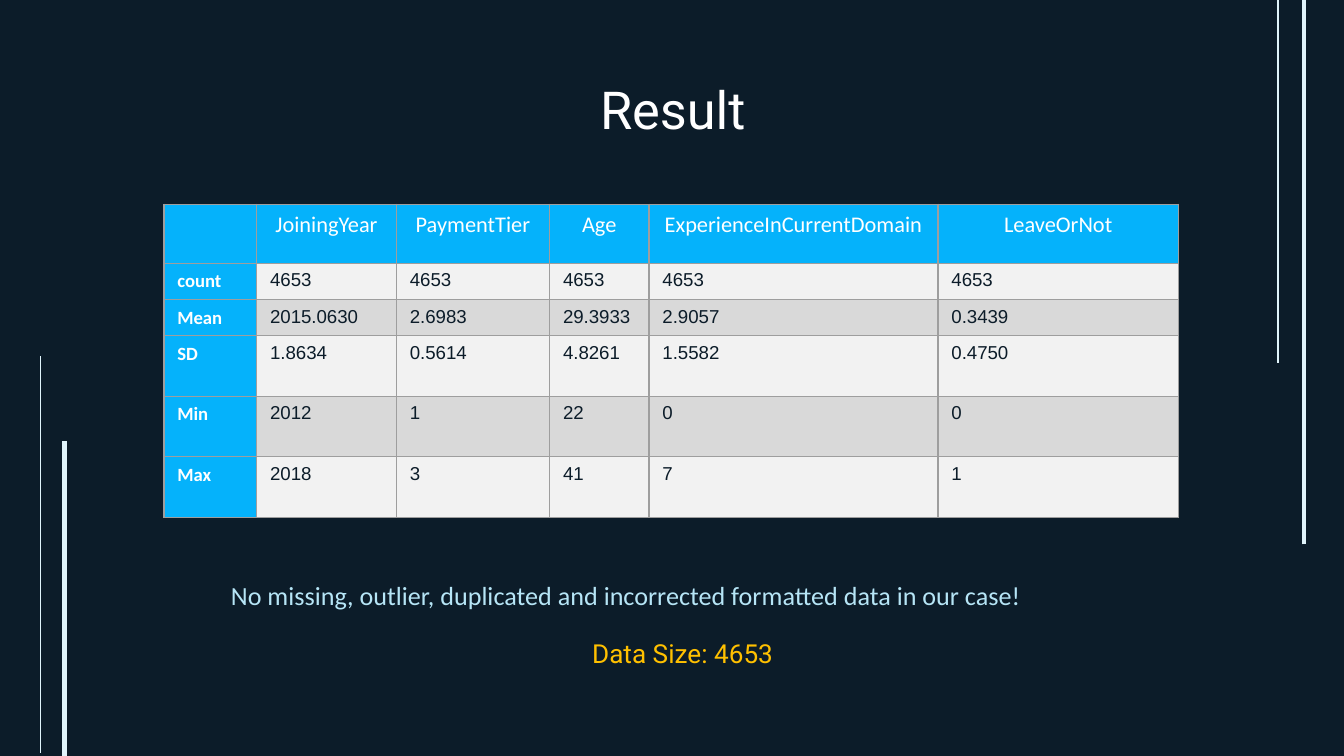
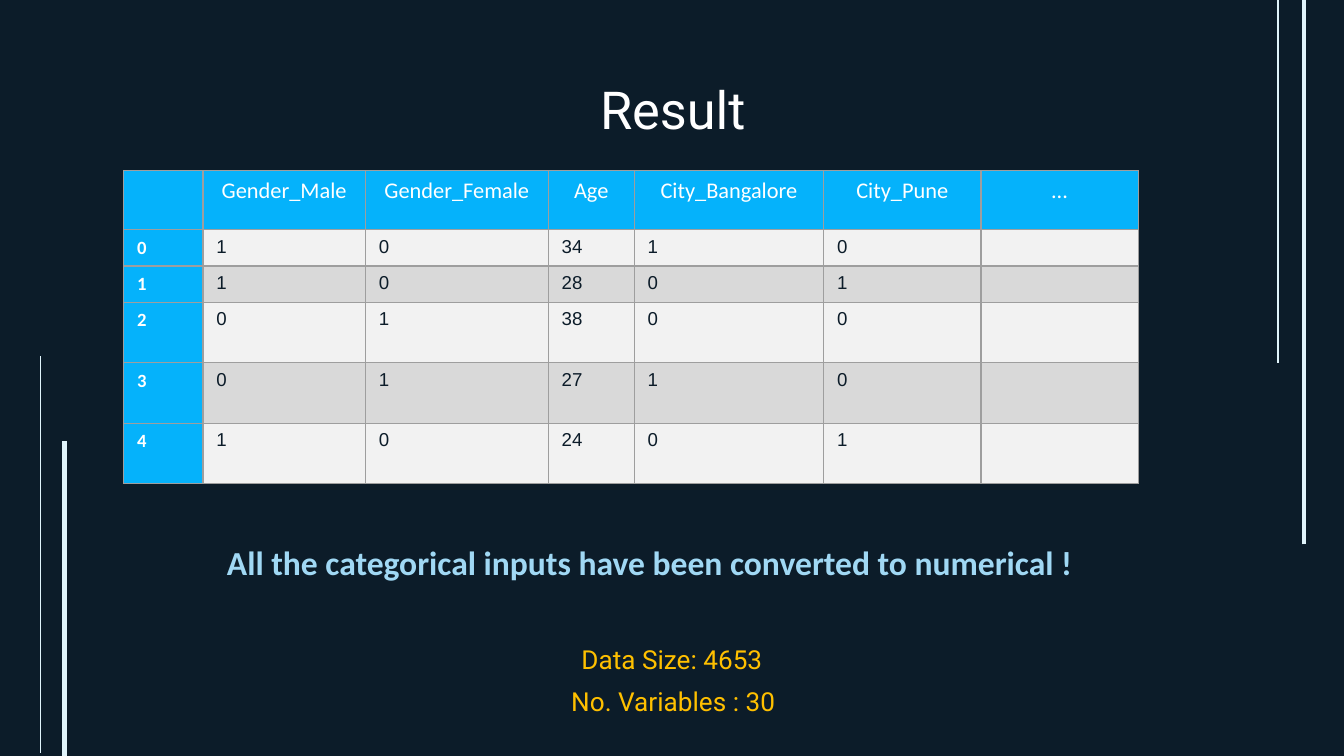
from dataclasses import dataclass
from typing import NamedTuple

from lxml.etree import SubElement
from pptx import Presentation
from pptx.dml.color import RGBColor
from pptx.enum.shapes import MSO_CONNECTOR as Connector
from pptx.enum.text import MSO_ANCHOR as Anchor, MSO_AUTO_SIZE as AutoSize, PP_ALIGN as Align
from pptx.oxml.ns import qn
from pptx.util import Emu, Pt

EMU_PER_PX = 4572


class TextStyle(NamedTuple):
    """Font, size, colour, weight and alignment of a paragraph."""
    face: str
    size: int
    color: str
    bold: bool = False
    align: Align = Align.LEFT


@dataclass(frozen=True)
class Theme:
    """Colours and type styles of the deck."""
    background: str = "0C1C29"
    accent_line: str = "E0F4FB"
    header_fill: str = "05B2FB"
    band_fills: tuple[str, str] = ("F2F2F2", "D9D9D9")
    border: str = "9E9E9E"
    border_width: float = 0.75
    title: TextStyle = TextStyle("Roboto", 28, "FFFFFF", align=Align.CENTER)
    column_head: TextStyle = TextStyle("Calibri", 12, "FFFFFF", align=Align.CENTER)
    row_head: TextStyle = TextStyle("Calibri", 10, "FFFFFF", bold=True)
    value: TextStyle = TextStyle("Arial", 10, "0C1C29")
    remark: TextStyle = TextStyle("Calibri", 14, "B6E5F6")
    strong_remark: TextStyle = TextStyle("Calibri", 18, "A0D8F4", bold=True)
    figure: TextStyle = TextStyle("Roboto", 14, "FFC000", align=Align.CENTER)


THEME = Theme()


class Box(NamedTuple):
    """A rectangle in px."""
    left: int
    top: int
    width: int
    height: int


class Stripe(NamedTuple):
    """A vertical accent line: position in px, width in points."""
    x: int
    start: int
    end: int
    weight: float


class Note(NamedTuple):
    """A line of text below the table."""
    text: str
    box: Box
    style: TextStyle


@dataclass(frozen=True)
class ResultPage:
    """Content of one result slide."""
    left: int
    top: int
    columns: tuple[int, ...]
    rows: tuple[tuple[str, ...], ...]
    notes: tuple[Note, ...]


SLIDE_SIZE = (2000, 1125)
TITLE_BOX = Box(158, 98, 1686, 126)
TITLE_INSET = 20
ROW_HEIGHTS = (88, 54, 54, 90, 90, 90)
STRIPES = (
    Stripe(96, 1125, 656, 2.25),
    Stripe(60, 1120, 530, 0.75),
    Stripe(1940, 810, 0, 2.25),
    Stripe(1902, 540, 0, 0.75),
)
PAGES = (
    ResultPage(
        244, 304, (138, 208, 228, 148, 430, 358),
        (
            ("", "JoiningYear", "PaymentTier", "Age", "ExperienceInCurrentDomain", "LeaveOrNot"),
            ("count", "4653", "4653", "4653", "4653", "4653"),
            ("Mean", "2015.0630", "2.6983", "29.3933", "2.9057", "0.3439"),
            ("SD", "1.8634", "0.5614", "4.8261", "1.5582", "0.4750"),
            ("Min", "2012", "1", "22", "0", "0"),
            ("Max", "2018", "3", "41", "7", "1"),
        ),
        (
            Note("No missing, outlier, duplicated and incorrected formatted data in our case!",
                 Box(324, 852, 1388, 68), THEME.remark),
            Note("Data Size: 4653", Box(322, 938, 1388, 68), THEME.figure),
        ),
    ),
    ResultPage(
        184, 254, (118, 242, 272, 128, 282, 234, 234),
        (
            ("", "Gender_Male", "Gender_Female", "Age", "City_Bangalore", "City_Pune", "..."),
            ("0", "1", "0", "34", "1", "0", ""),
            ("1", "1", "0", "28", "0", "1", ""),
            ("2", "0", "1", "38", "0", "0", ""),
            ("3", "0", "1", "27", "1", "0", ""),
            ("4", "1", "0", "24", "0", "1", ""),
        ),
        (
            Note("Data Size: 4653", Box(306, 948, 1388, 68), THEME.figure),
            Note("No. Variables : 30", Box(308, 1010, 1388, 68), THEME.figure),
            Note("All the categorical inputs have been converted to numerical !",
                 Box(318, 796, 1362, 80), THEME.strong_remark),
        ),
    ),
)


def px(length: int) -> Emu:
    """Turn px into EMU."""
    return Emu(length * EMU_PER_PX)


def rgb(color: str) -> RGBColor:
    """Turn a hex string into a colour."""
    return RGBColor.from_string(color)


def write(frame, text: str, style: TextStyle) -> None:
    """Put one styled paragraph into a text frame."""
    para = frame.paragraphs[0]
    if text:
        para.text = text
    para.alignment = style.align
    font = para.font
    font.name, font.size, font.bold = style.face, Pt(style.size), style.bold
    font.color.rgb = rgb(style.color)


def add_stripe(page, stripe: Stripe) -> None:
    """Draw one vertical accent line without a shadow."""
    x = px(stripe.x)
    line = page.shapes.add_connector(Connector.STRAIGHT, x, px(stripe.start), x, px(stripe.end))
    line.line.color.rgb = rgb(THEME.accent_line)
    line.line.width = Pt(stripe.weight)
    SubElement(line._element.spPr, qn("a:effectLst"))


def set_title(page, text: str) -> None:
    """Place and format the title placeholder."""
    title = page.shapes.title
    title.left, title.top, title.width, title.height = map(px, TITLE_BOX)
    frame = title.text_frame
    frame.auto_size = AutoSize.NONE
    frame.vertical_anchor = Anchor.MIDDLE
    frame.margin_left = frame.margin_right = px(TITLE_INSET)
    frame.margin_top = frame.margin_bottom = px(TITLE_INSET)
    write(frame, text, THEME.title)


def add_note(page, note: Note) -> None:
    """Add a wrapped text box."""
    frame = page.shapes.add_textbox(*map(px, note.box)).text_frame
    frame.word_wrap = True
    frame.auto_size = AutoSize.SHAPE_TO_FIT_TEXT
    write(frame, note.text, note.style)


def add_borders(cell) -> None:
    """Outline all four sides of a cell, ahead of its fill."""
    properties = cell._tc.get_or_add_tcPr()
    for position, side in enumerate(("a:lnL", "a:lnR", "a:lnT", "a:lnB")):
        line = SubElement(properties, qn(side), w=str(Pt(THEME.border_width)))
        fill = SubElement(line, qn("a:solidFill"))
        SubElement(fill, qn("a:srgbClr"), val=THEME.border)
        properties.insert(position, line)


def cell_look(row: int, column: int) -> tuple[str, TextStyle]:
    """Choose the fill and text style of a cell by its place."""
    if row == 0:
        return THEME.header_fill, THEME.column_head
    if column == 0:
        return THEME.header_fill, THEME.row_head
    return THEME.band_fills[(row - 1) % 2], THEME.value


def add_result_table(page, result: ResultPage) -> None:
    """Add the table with a header row, a header column and bands."""
    box = Box(result.left, result.top, sum(result.columns), sum(ROW_HEIGHTS))
    table = page.shapes.add_table(len(result.rows), len(result.columns), *map(px, box)).table
    table.first_row = table.horz_banding = False
    for column, width in zip(table.columns, result.columns):
        column.width = px(width)
    for row, height in zip(table.rows, ROW_HEIGHTS):
        row.height = px(height)
    for row, texts in enumerate(result.rows):
        for column, text in enumerate(texts):
            cell = table.cell(row, column)
            fill, style = cell_look(row, column)
            cell.fill.solid()
            cell.fill.fore_color.rgb = rgb(fill)
            add_borders(cell)
            write(cell.text_frame, text, style)


def add_result_page(deck, result: ResultPage) -> None:
    """Build one result slide."""
    page = deck.slides.add_slide(deck.slide_layouts.get_by_name("Title Only"))
    for stripe in STRIPES:
        add_stripe(page, stripe)
    set_title(page, "Result")
    add_result_table(page, result)
    for note in result.notes:
        add_note(page, note)


def main() -> None:
    """Build and save the deck."""
    deck = Presentation()
    deck.slide_width, deck.slide_height = map(px, SLIDE_SIZE)
    background = deck.slide_master.background.fill
    background.solid()
    background.fore_color.rgb = rgb(THEME.background)
    for result in PAGES:
        add_result_page(deck, result)
    deck.save("out.pptx")


if __name__ == "__main__":
    main()
